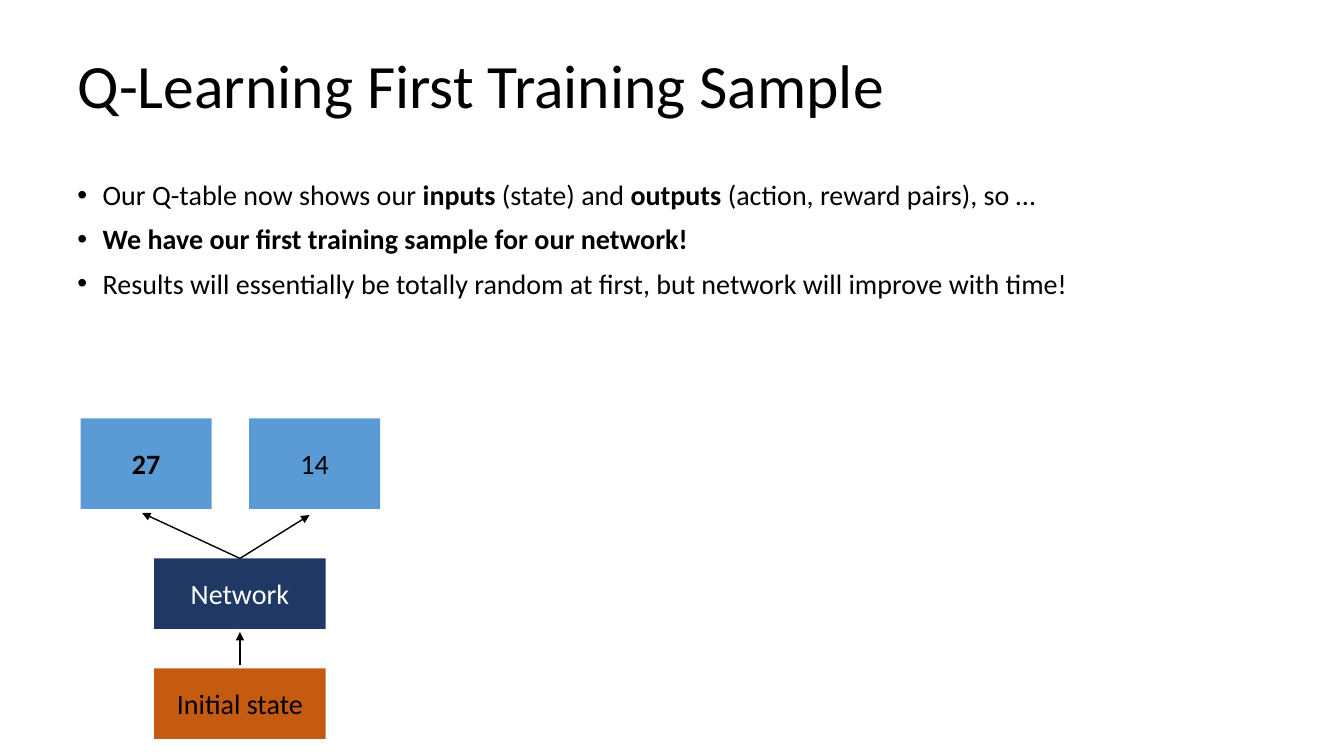
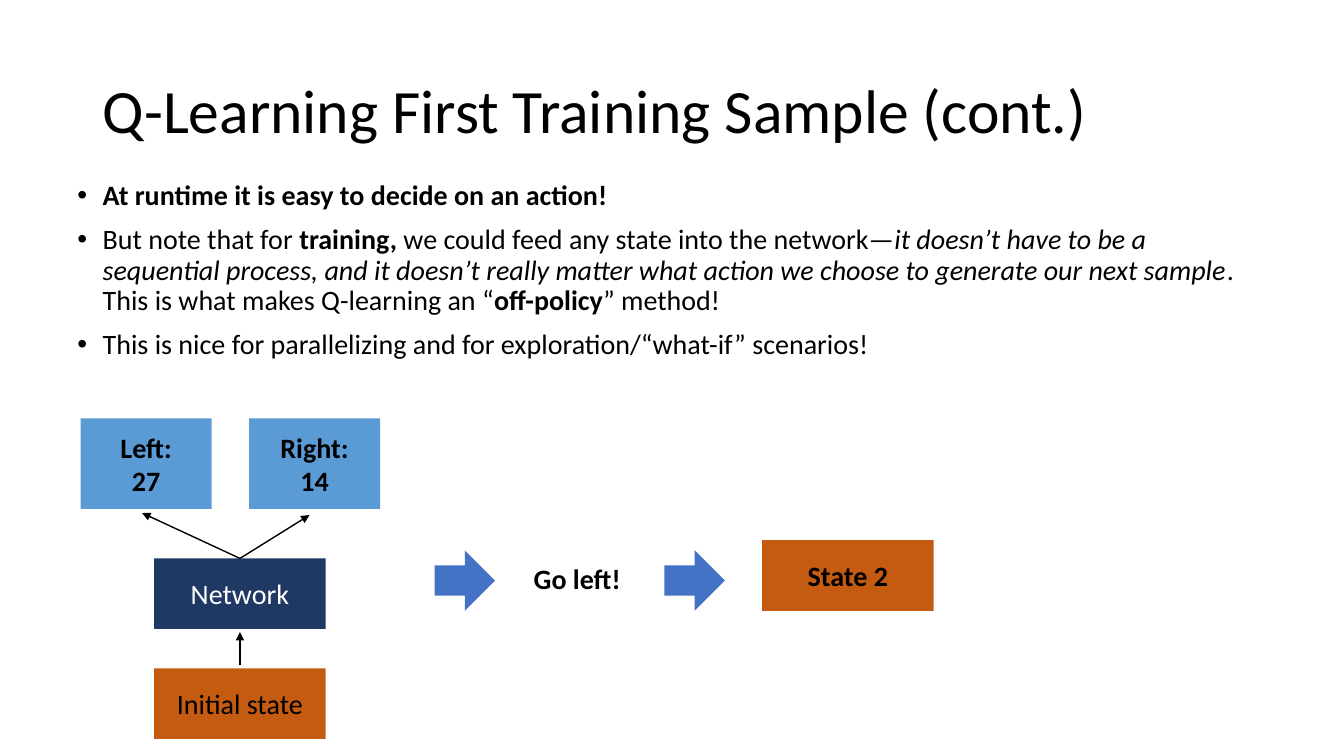
from dataclasses import dataclass

from lxml import etree
from pptx import Presentation
from pptx.dml.color import RGBColor
from pptx.enum import shapes, text
from pptx.oxml import ns
from pptx.util import Inches, Pt

FONT = "Calibri"
BLACK, WHITE = "000000", "FFFFFF"
OUTPUT_BLUE, NETWORK_NAVY = "5B9BD5", "203864"
STATE_ORANGE, ARROW_BLUE = "C55A11", "4472C4"
BODY_SIZE, TITLE_SIZE = 20, 44
INSET = 0.07
TITLE_ONLY = 5


@dataclass(frozen=True)
class Area:
    left: float
    top: float
    width: float
    height: float

    @property
    def center(self) -> float:
        return self.left + self.width / 2

    def lengths(self) -> tuple:
        return tuple(Inches(value) for value in (self.left, self.top, self.width, self.height))


@dataclass(frozen=True)
class Block:
    area: Area
    label: str
    fill: str
    color: str = BLACK
    bold: bool = False


@dataclass(frozen=True)
class Part:
    words: str
    bold: bool = False
    italic: bool = False


OUTPUT_AREAS = [Area(0.8 + 1.67 * column, 4.15, 1.3, 0.9) for column in range(2)]
ARROW_TIPS = [(1.41, 5.09), (3.07, 5.11)]
NETWORK = Block(Area(1.53, 5.54, 1.7, 0.7), "Network", NETWORK_NAVY, WHITE)
INITIAL_STATE = Block(Area(1.53, 6.63, 1.7, 0.7), "Initial state", STATE_ORANGE)


def rgb(color: str) -> RGBColor:
    return RGBColor.from_string(color)


def format_font(font, size: float, color: str = BLACK, bold: bool = False, italic: bool = False) -> None:
    font.name = FONT
    font.size = Pt(size)
    font.color.rgb = rgb(color)
    font.bold = bold
    font.italic = italic


def add_titled_slide(presentation, title: str, area: Area):
    slide = presentation.slides.add_slide(presentation.slide_layouts[TITLE_ONLY])
    shape = slide.shapes.title
    shape.left, shape.top, shape.width, shape.height = area.lengths()
    frame = shape.text_frame
    frame.text = title
    frame.auto_size = text.MSO_AUTO_SIZE.NONE
    frame.vertical_anchor = text.MSO_ANCHOR.MIDDLE
    paragraph = frame.paragraphs[0]
    paragraph.alignment = text.PP_ALIGN.LEFT
    paragraph.line_spacing = 0.9
    format_font(paragraph.runs[0].font, TITLE_SIZE)
    return slide


def add_bullets(slide, area: Area, bullets: list[list[Part]]) -> None:
    frame = slide.shapes.add_textbox(*area.lengths()).text_frame
    frame.word_wrap = True
    for index, parts in enumerate(bullets):
        paragraph = frame.add_paragraph() if index else frame.paragraphs[0]
        properties = paragraph._p.get_or_add_pPr()
        properties.set("marL", str(Inches(0.25)))
        properties.set("indent", str(-Inches(0.25)))
        etree.SubElement(properties, ns.qn("a:buFont")).set("typeface", "Arial")
        etree.SubElement(properties, ns.qn("a:buChar")).set("char", "•")
        paragraph.line_spacing = 0.9
        paragraph.space_before = Pt(10 if index else 0)
        for part in parts:
            run = paragraph.add_run()
            run.text = part.words
            format_font(run.font, BODY_SIZE, bold=part.bold, italic=part.italic)


def set_label(shape, label: str, color: str = BLACK, bold: bool = False) -> None:
    frame = shape.text_frame
    frame.text = label
    frame.word_wrap = True
    frame.margin_left = frame.margin_right = Inches(INSET)
    frame.margin_top = frame.margin_bottom = Inches(INSET)
    for paragraph in frame.paragraphs:
        paragraph.alignment = text.PP_ALIGN.CENTER
        for run in paragraph.runs:
            format_font(run.font, BODY_SIZE, color, bold)


def add_filled_shape(slide, kind, area: Area, fill: str):
    shape = slide.shapes.add_shape(kind, *area.lengths())
    shape.shadow.inherit = False
    shape.fill.solid()
    shape.fill.fore_color.rgb = rgb(fill)
    shape.line.fill.background()
    return shape


def add_block(slide, block: Block):
    shape = add_filled_shape(slide, shapes.MSO_SHAPE.RECTANGLE, block.area, block.fill)
    set_label(shape, block.label, block.color, block.bold)
    shape.text_frame.vertical_anchor = text.MSO_ANCHOR.MIDDLE
    return shape


def add_arrow(slide, start: tuple[float, float], end: tuple[float, float], width: float):
    connector = slide.shapes.add_connector(
        shapes.MSO_CONNECTOR.STRAIGHT, *(Inches(value) for value in start + end)
    )
    connector.line.color.rgb = rgb(BLACK)
    connector.line.width = Pt(width)
    etree.SubElement(connector.line._get_or_add_ln(), ns.qn("a:tailEnd")).set("type", "triangle")
    etree.SubElement(connector._element.spPr, ns.qn("a:effectLst"))
    return connector


def add_network_diagram(slide, outputs: list[tuple[str, bool]]) -> None:
    for area, (label, bold) in zip(OUTPUT_AREAS, outputs):
        add_block(slide, Block(area, label, OUTPUT_BLUE, bold=bold))
    network = add_block(slide, NETWORK)
    add_block(slide, INITIAL_STATE)
    center = NETWORK.area.center
    add_arrow(slide, (center, 6.6), (center, 6.27), 1.5)
    for tip in ARROW_TIPS:
        add_arrow(slide, (center, NETWORK.area.top), tip, 1).begin_connect(network, 0)


def build_first_sample(presentation) -> None:
    slide = add_titled_slide(
        presentation, "Q-Learning First Training Sample", Area(0.67, 0.25, 12, 1.25)
    )
    add_bullets(slide, Area(0.67, 1.75, 12, 1.93), [
        [
            Part("Our Q-table now shows our "),
            Part("inputs", bold=True),
            Part(" (state) and "),
            Part("outputs", bold=True),
            Part(" (action, reward pairs), so …"),
        ],
        [Part("We have our first training sample for our network!", bold=True)],
        [Part("Results will essentially be totally random at first, "
              "but network will improve with time!")],
    ])
    add_network_diagram(slide, [("27", True), ("14", False)])


def build_continuation(presentation) -> None:
    slide = add_titled_slide(
        presentation, "Q-Learning First Training Sample (cont.)", Area(0.92, 0.4, 11.5, 1.45)
    )
    add_bullets(slide, Area(0.67, 1.75, 12, 2.03), [
        [Part("At runtime it is easy to decide on an action!", bold=True)],
        [
            Part("But note that for "),
            Part("training,", bold=True),
            Part(" we could feed any state into the network—"),
            Part("it doesn’t have to be a sequential process, and it doesn’t really matter "
                 "what action we choose to generate our next sample", italic=True),
            Part(". This is what makes Q-learning an “"),
            Part("off-policy", bold=True),
            Part("” method!"),
        ],
        [Part("This is nice for parallelizing and for exploration/“what-if” scenarios!")],
    ])
    add_network_diagram(slide, [("Left:\n27", True), ("Right:\n14", True)])
    for left in (4.31, 6.59):
        add_filled_shape(
            slide, shapes.MSO_SHAPE.RIGHT_ARROW, Area(left, 5.46, 0.6, 0.6), ARROW_BLUE
        )
    action = slide.shapes.add_textbox(*Area(5.04, 5.5, 1.37, 0.51).lengths())
    set_label(action, "Go left!", bold=True)
    add_block(slide, Block(Area(7.56, 5.36, 1.7, 0.7), "State 2", STATE_ORANGE, bold=True))


def main() -> None:
    presentation = Presentation()
    presentation.slide_width = Inches(13.33)
    presentation.slide_height = Inches(7.5)
    build_first_sample(presentation)
    build_continuation(presentation)
    presentation.save("out.pptx")


if __name__ == "__main__":
    main()
